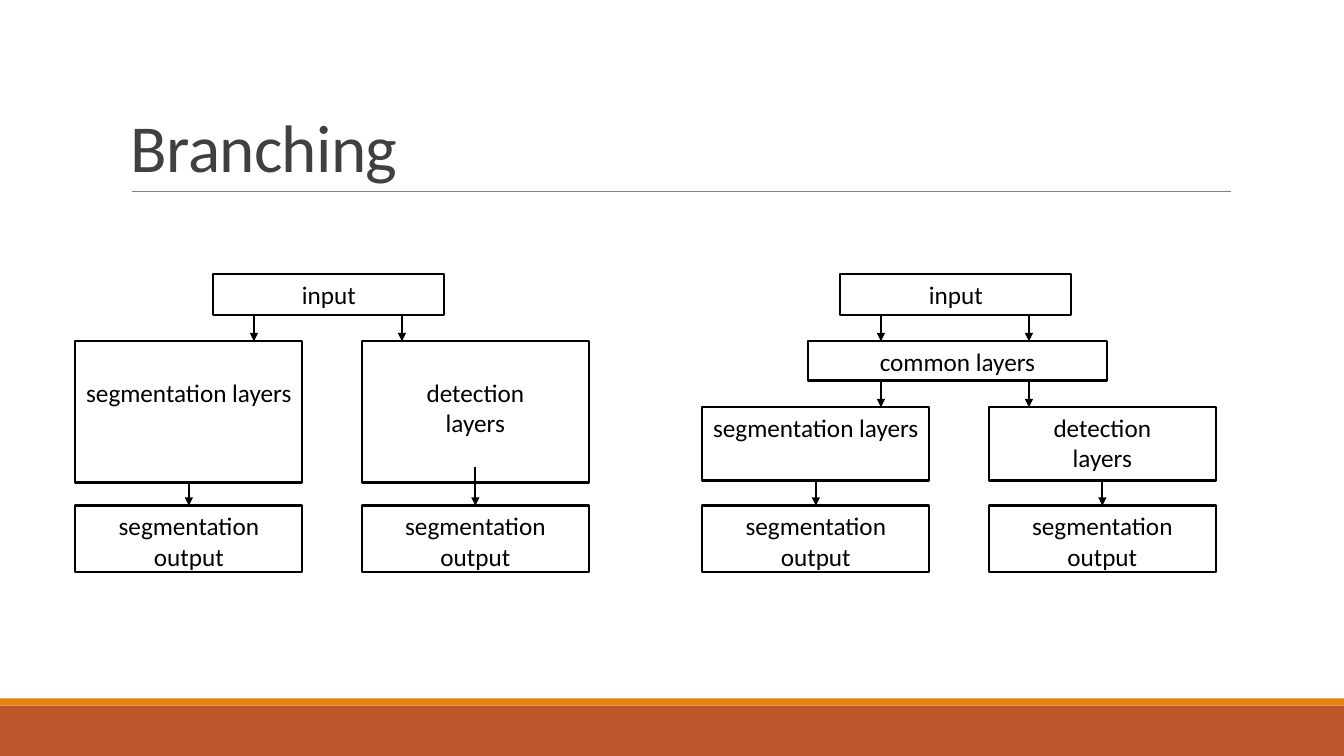
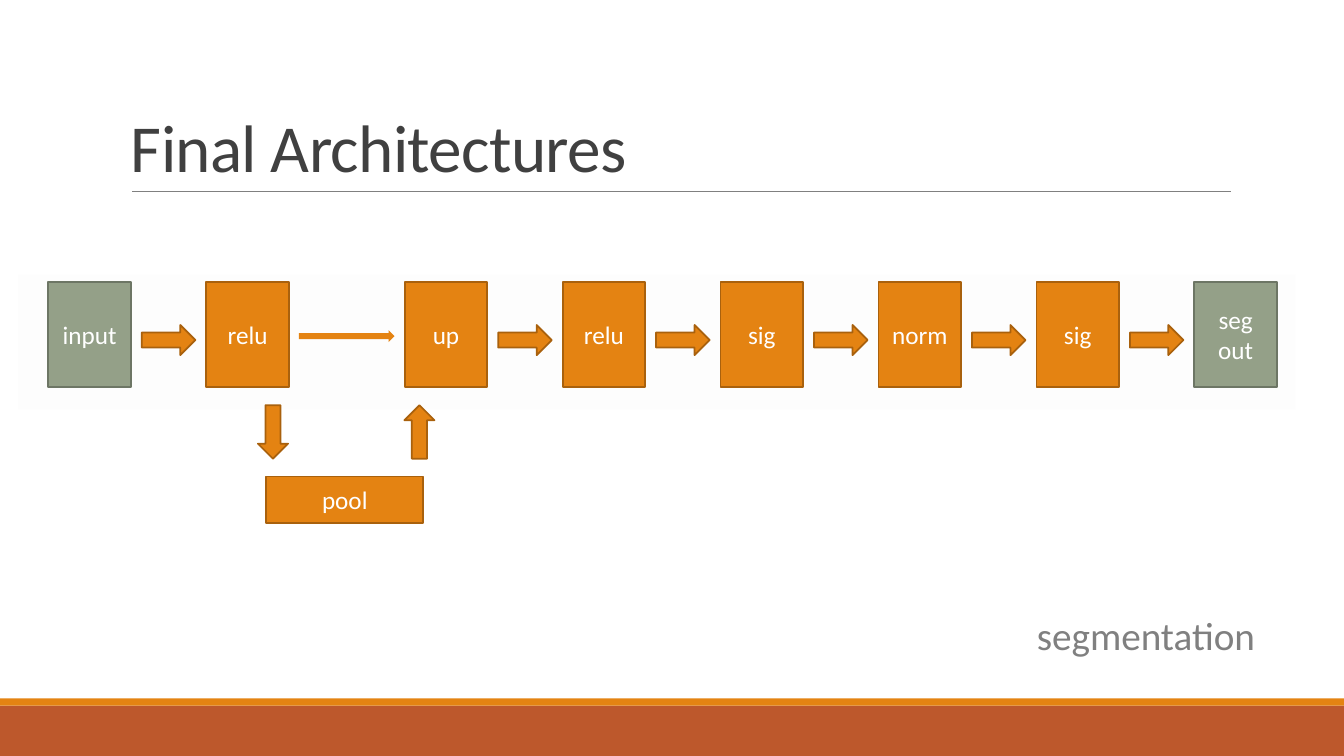
from lxml import etree
from pptx import Presentation
from pptx.dml.color import RGBColor
from pptx.enum.shapes import MSO_CONNECTOR, MSO_SHAPE
from pptx.enum.text import MSO_ANCHOR, PP_ALIGN
from pptx.oxml.ns import qn
from pptx.util import Cm, Pt

RECT, RIGHT = MSO_SHAPE.RECTANGLE, MSO_SHAPE.RIGHT_ARROW
DOWN, UP = MSO_SHAPE.DOWN_ARROW, MSO_SHAPE.UP_ARROW
STRAIGHT = MSO_CONNECTOR.STRAIGHT
TOP, MIDDLE, BOTTOM = MSO_ANCHOR.TOP, MSO_ANCHOR.MIDDLE, MSO_ANCHOR.BOTTOM
LEFT, CENTER = PP_ALIGN.LEFT, PP_ALIGN.CENTER

WHITE = RGBColor(0xFF, 0xFF, 0xFF)
BLACK = RGBColor(0x00, 0x00, 0x00)
RUST = RGBColor(0xBD, 0x58, 0x2C)
ORANGE = RGBColor(0xE4, 0x83, 0x12)
DARK_ORANGE = RGBColor(0xA9, 0x61, 0x0D)
SAGE = RGBColor(0x94, 0xA0, 0x88)
DARK_SAGE = RGBColor(0x6D, 0x76, 0x65)
DARK_GREY = RGBColor(0x40, 0x40, 0x40)
GREY = RGBColor(0x80, 0x80, 0x80)
PALE = RGBColor(0xFD, 0xFD, 0xFD)
FONT = "Calibri"

# Lengths are in centimetres.
SLIDE_W, SLIDE_H = 33.87, 19.05

# Branching: each diagram has its own offset, layer boxes and optional shared box.
SEGMENT_X, DETECT_X, BRANCH_W = 1.9, 9.12, 5.72
INPUT_BOX = (5.38, 6.91, 5.82, 1.04)
COMMON_BOX = (4.57, 8.6, 7.52, 0.99)
FORK_XS = (6.4, 10.13)
OUTPUT_TOP, OUTPUT_H = 12.74, 1.68
BRANCHES = [(SEGMENT_X, ["segmentation layers"]), (DETECT_X, ["detection", "layers"])]
DIAGRAMS = [
    {"offset": 0, "common": False, "top": 8.6, "height": 3.56,
     "inset": 0.9, "arrow_starts": (12.16, 11.76)},
    {"offset": 15.8, "common": True, "top": 10.26, "height": 1.85,
     "inset": 0.13, "arrow_starts": (12.11, 12.11)},
]

# Final architectures: a chain of nodes with a pooling detour after the first relu.
NODES = [["input"], ["relu"], ["up"], ["relu"], ["sig"], ["norm"], ["sig"], ["seg", "out"]]
NODE_X, NODE_TOP, NODE_W, NODE_H = 1.22, 7.11, 2.08, 2.64
NODE_GAP, DETOUR_GAP, DETOUR_AFTER = 1.9, 2.92, 1
ARROW_LENGTH, ARROW_WIDTH, ARROW_MIDDLE = 1.35, 0.76, 8.57
SKIP_LENGTH, SKIP_WIDTH, SKIP_MIDDLE = 2.41, 0.3, 8.47
DETOUR_ARROWS = [(DOWN, 6.5), (UP, 10.19)]
DETOUR_TOP = 10.21
POOL_BOX = (6.71, 12.01, 3.96, 1.17)


def write(box, lines, size, color, align=LEFT, anchor=TOP):
    frame = box.text_frame
    frame.word_wrap = True
    frame.vertical_anchor = anchor
    for index, line in enumerate(lines):
        para = frame.paragraphs[0] if index == 0 else frame.add_paragraph()
        para.alignment = align
        span = para.add_run()
        span.text = line
        span.font.name = FONT
        span.font.size = Pt(size)
        span.font.color.rgb = color
    return frame


def add_block(page, kind, bounds, fill, line=None, weight=1.25):
    block = page.shapes.add_shape(kind, *map(Cm, bounds))
    block.shadow.inherit = False
    block.fill.solid()
    block.fill.fore_color.rgb = fill
    if line is None:
        block.line.fill.background()
    else:
        block.line.color.rgb = line
        block.line.width = Pt(weight)
    return block


def add_line(page, start, end, color, weight, arrow=False):
    line = page.shapes.add_connector(STRAIGHT, *map(Cm, (*start, *end)))
    line.line.color.rgb = color
    line.line.width = Pt(weight)
    properties = line._element.spPr
    if arrow:
        etree.SubElement(properties.find(qn("a:ln")), qn("a:tailEnd"), type="triangle")
    etree.SubElement(properties, qn("a:effectLst"))


def add_page(deck, title):
    """Add a blank slide with the shared bands, rule and title."""
    page = deck.slides.add_slide(deck.slide_layouts[6])
    add_block(page, RECT, (0, 17.78, SLIDE_W, 1.27), RUST)
    add_block(page, RECT, (0, 17.6, SLIDE_W, 0.18), ORANGE)
    add_line(page, (3.33, 4.83), (31.01, 4.83), GREY, 0.5)
    box = page.shapes.add_textbox(Cm(3.05), Cm(0.79), Cm(27.94), Cm(4.04))
    para = write(box, [title], 48, DARK_GREY, anchor=BOTTOM).paragraphs[0]
    para.line_spacing = 0.85
    para.runs[0]._r.get_or_add_rPr().set("spc", "-50")
    return page


def add_diagram(page, diagram):
    offset, layers_top = diagram["offset"], diagram["top"]

    def outlined(bounds, lines, inset=0.13):
        left, *rest = bounds
        box = add_block(page, RECT, (left + offset, *rest), WHITE, BLACK, 1.5)
        write(box, lines, 18, BLACK, CENTER).margin_top = Cm(inset)

    def arrow_down(x, top, bottom):
        add_line(page, (x + offset, top), (x + offset, bottom), BLACK, 1.5, arrow=True)

    stack = [(INPUT_BOX, "input")]
    if diagram["common"]:
        stack.append((COMMON_BOX, "common layers"))
    next_tops = [bounds[1] for bounds, _ in stack[1:]] + [layers_top]
    for (bounds, label), next_top in zip(stack, next_tops):
        outlined(bounds, [label])
        for x in FORK_XS:
            arrow_down(x, bounds[1] + bounds[3], next_top)

    for (left, lines), arrow_start in zip(BRANCHES, diagram["arrow_starts"]):
        outlined((left, layers_top, BRANCH_W, diagram["height"]), lines, diagram["inset"])
        outlined((left, OUTPUT_TOP, BRANCH_W, OUTPUT_H), ["segmentation output"])
        arrow_down(left + BRANCH_W / 2, arrow_start, OUTPUT_TOP)


def add_node(page, bounds, lines, fill=ORANGE, line=DARK_ORANGE):
    node = add_block(page, RECT, bounds, fill, line)
    write(node, lines, 18, WHITE, CENTER, MIDDLE)


def add_chain(page):
    left, last = NODE_X, len(NODES) - 1
    for index, lines in enumerate(NODES):
        colors = (SAGE, DARK_SAGE) if index in (0, last) else (ORANGE, DARK_ORANGE)
        add_node(page, (left, NODE_TOP, NODE_W, NODE_H), lines, *colors)
        left += NODE_W
        if index == last:
            break
        if index == DETOUR_AFTER:
            gap, length, width, middle, line = (
                DETOUR_GAP, SKIP_LENGTH, SKIP_WIDTH, SKIP_MIDDLE, None)
        else:
            gap, length, width, middle, line = (
                NODE_GAP, ARROW_LENGTH, ARROW_WIDTH, ARROW_MIDDLE, DARK_ORANGE)
        bounds = (left + (gap - length) / 2, middle - width / 2, length, width)
        add_block(page, RIGHT, bounds, ORANGE, line)
        left += gap


def build_branching(deck):
    page = add_page(deck, "Branching")
    for diagram in DIAGRAMS:
        add_diagram(page, diagram)


def build_architectures(deck):
    page = add_page(deck, "Final Architectures")
    add_block(page, RECT, (0.46, 6.93, 32.18, 3.38), PALE)
    add_chain(page)
    for kind, left in DETOUR_ARROWS:
        bounds = (left, DETOUR_TOP, ARROW_WIDTH, ARROW_LENGTH)
        add_block(page, kind, bounds, ORANGE, DARK_ORANGE)
    add_node(page, POOL_BOX, ["pool"])
    caption = page.shapes.add_textbox(Cm(25.88), Cm(15.29), Cm(6.17), Cm(1.45))
    write(caption, ["segmentation"], 28, GREY)


def main():
    deck = Presentation()
    deck.slide_width, deck.slide_height = Cm(SLIDE_W), Cm(SLIDE_H)
    build_branching(deck)
    build_architectures(deck)
    deck.save("out.pptx")


if __name__ == "__main__":
    main()
